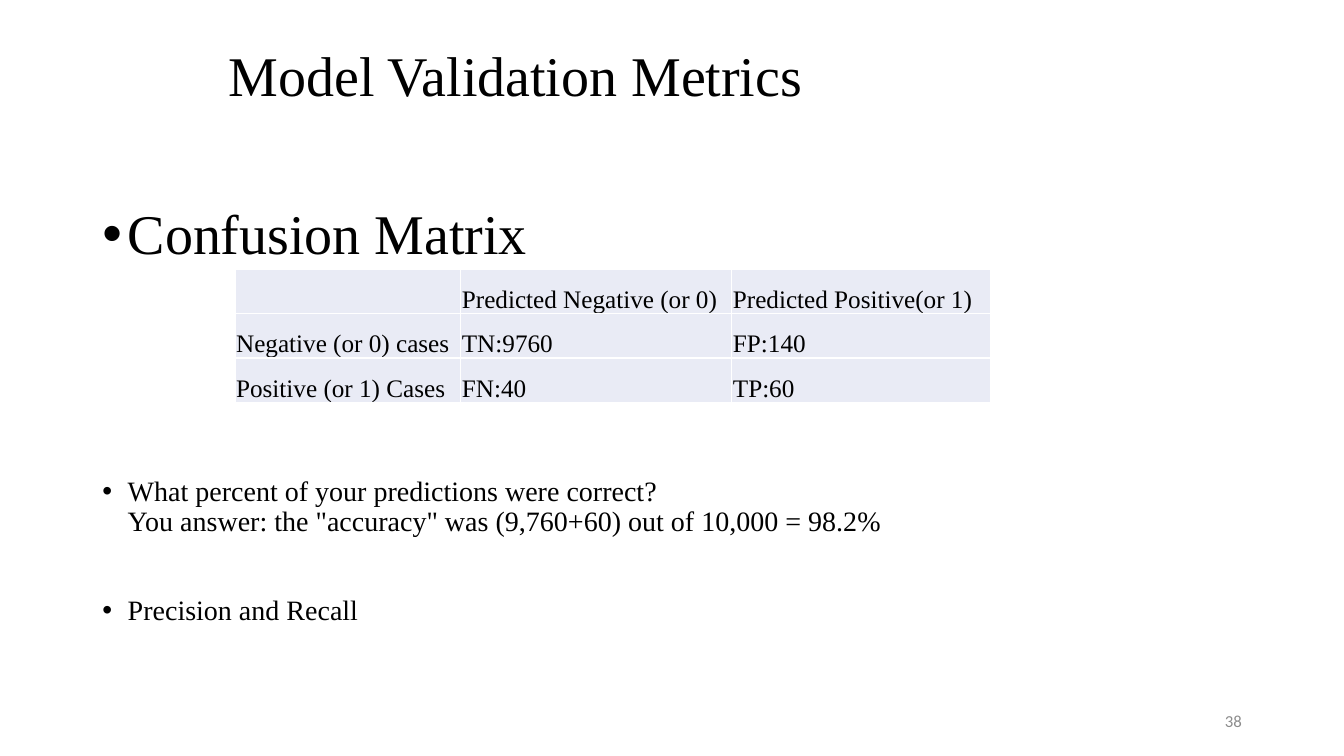
from lxml import etree
from pptx import Presentation
from pptx import util as u
from pptx.dml import color
from pptx.enum import text
from pptx.oxml import ns

SERIF = "Times New Roman"
COLUMN_WIDTHS = (5.69, 6.83, 6.53)
ROW_HEIGHT = 1.12
MATRIX = (
    ("", "Predicted Negative (or 0)", "Predicted Positive(or 1)"),
    ("Negative (or 0) cases", "TN:9760", "FP:140"),
    ("Positive (or 1) Cases", "FN:40", "TP:60"),
)
POINTS = (
    ("Confusion Matrix", 40, 0),
    ("What percent of your predictions were correct?\n"
     "You answer: the \"accuracy\" was (9,760+60) out of 10,000 = 98.2%", 20, 150),
    ("Precision and Recall", 20, 42),
)


def rgb(value):
    """Turn a hex string into a colour."""
    return color.RGBColor.from_string(value)


def write(para, words, size=18, font=SERIF, ink="000000", align=None, spacing=None, before=0):
    """Fill a paragraph with formatted text."""
    para.text = words
    para.alignment = align
    para.line_spacing = spacing
    para.space_before = u.Pt(before)
    para.font.size = u.Pt(size)
    for span in para.runs:
        span.font.size = u.Pt(size)
        span.font.name = font
        span.font.color.rgb = rgb(ink)


def add_box(page, left, top, width, height, anchor=text.MSO_ANCHOR.MIDDLE):
    """Add a wrapping text box and return its frame."""
    box = page.shapes.add_textbox(u.Cm(left), u.Cm(top), u.Cm(width), u.Cm(height))
    frame = box.text_frame
    frame.word_wrap = True
    frame.vertical_anchor = anchor
    return frame


def add_bullet(para, indent=0.64):
    """Give a paragraph a hanging round bullet."""
    props = para._p.get_or_add_pPr()
    props.set("marL", str(u.Cm(indent)))
    props.set("indent", str(-u.Cm(indent)))
    etree.SubElement(props, ns.qn("a:buFont"), typeface="Arial")
    etree.SubElement(props, ns.qn("a:buChar"), char="•")


def add_points(page, points):
    """Add the bulleted list, spaced around the table."""
    frame = add_box(page, 2.33, 5.08, 29.21, 12.09, text.MSO_ANCHOR.TOP)
    for index, (words, size, before) in enumerate(points):
        para = frame.add_paragraph() if index else frame.paragraphs[0]
        write(para, words, size=size, spacing=0.9, before=before)
        add_bullet(para)


def add_borders(cell, ink="FFFFFF"):
    """Draw a thin line on every side of a cell."""
    props = cell._tc.get_or_add_tcPr()
    for side in ("lnL", "lnR", "lnT", "lnB"):
        line = etree.SubElement(props, ns.qn(f"a:{side}"), w=str(u.Pt(1)))
        fill = etree.SubElement(line, ns.qn("a:solidFill"))
        etree.SubElement(fill, ns.qn("a:srgbClr"), val=ink)


def style_cell(cell, words):
    """Format one cell of the matrix."""
    add_borders(cell)
    cell.fill.solid()
    cell.fill.fore_color.rgb = rgb("E9EBF5")
    cell.vertical_anchor = text.MSO_ANCHOR.BOTTOM
    cell.margin_left = cell.margin_right = cell.margin_top = u.Cm(0.03)
    cell.margin_bottom = u.Cm(0)
    write(cell.text_frame.paragraphs[0], words)


def add_matrix(page, rows):
    """Add the confusion matrix as a table."""
    grid = page.shapes.add_table(
        len(rows), len(COLUMN_WIDTHS), u.Cm(5.92), u.Cm(6.78),
        u.Cm(sum(COLUMN_WIDTHS)), u.Cm(ROW_HEIGHT * len(rows))).table
    grid.first_row = grid.horz_banding = False
    for column, width in zip(grid.columns, COLUMN_WIDTHS):
        column.width = u.Cm(width)
    for row, values in zip(grid.rows, rows):
        row.height = u.Cm(ROW_HEIGHT)
        for cell, words in zip(row.cells, values):
            style_cell(cell, words)


def main():
    """Build and save the slide."""
    deck = Presentation()
    deck.slide_width, deck.slide_height = u.Cm(33.87), u.Cm(19.05)
    page = deck.slides.add_slide(deck.slide_layouts[6])
    title = add_box(page, 5.51, 0.76, 22.86, 2.41)
    write(title.paragraphs[0], "Model Validation Metrics", size=40, spacing=0.9)
    add_points(page, POINTS)
    number = add_box(page, 23.93, 17.65, 7.62, 1.02)
    write(number.paragraphs[0], "38", size=12, font="Calibri", ink="8C8C8C",
          align=text.PP_ALIGN.RIGHT)
    add_matrix(page, MATRIX)
    deck.save("out.pptx")


if __name__ == "__main__":
    main()
